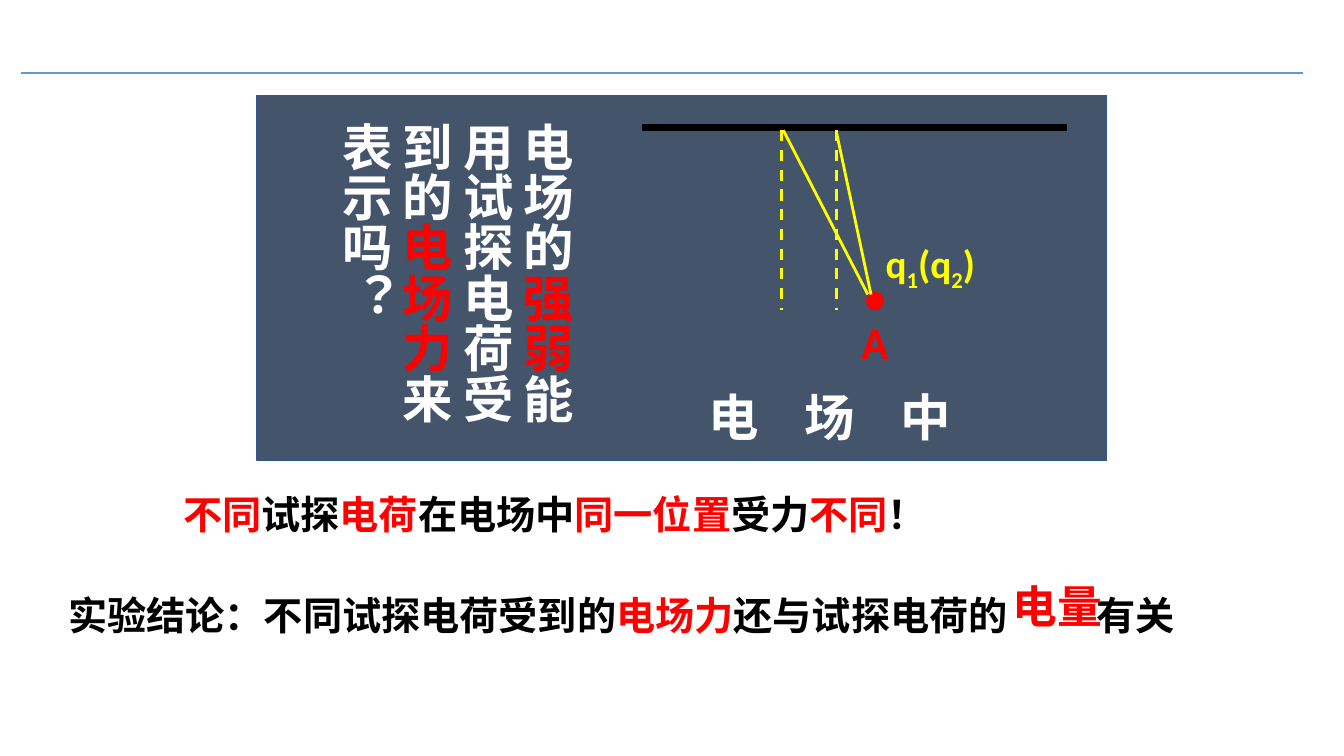
"""Build a slide on how the force on a test charge depends on its quantity."""
from lxml import etree
from pptx import Presentation
from pptx import util as u
from pptx.dml.color import RGBColor
from pptx.enum import dml, shapes, text
from pptx.oxml.ns import qn

WHITE, BLACK, RED, YELLOW = "FFFFFF", "000000", "FF0000", "FFFF00"
LATIN, HAN = "Calibri", "Noto Sans CJK JP"
RECT, OVAL = shapes.MSO_SHAPE.RECTANGLE, shapes.MSO_SHAPE.OVAL

SHAPES = [
    (RECT, (6.48, 2.41, 21.41, 9.19), "44546A", "325491"),
    (OVAL, (21.84, 7.37, 0.43, 0.43), RED, RED),
    (RECT, (16.21, 3.15, 10.67, 0.13), BLACK, BLACK),
]
LINES = [
    ((0.53, 1.85, 32.84, 1.85), "5B9BD5", 1.5, False),
    ((19.69, 3.28, 19.69, 7.8), YELLOW, 2, True),
    ((21.08, 3.28, 21.08, 7.8), YELLOW, 2, True),
    ((21.87, 7.42, 19.74, 3.28), YELLOW, 2, False),
    ((21.95, 7.42, 21.08, 3.33), YELLOW, 2, False),
]
TEXTS = [
    dict(at=(17.6, 9.6, 6.91, 1.8), size=36, font=LATIN, tabs=(2.42, 4.84),
         spans=[("电\t场\t中", WHITE)]),
    dict(at=(8, 2.82, 6.68, 8.59), size=36, font=LATIN, vertical=True,
         spans=[("电场的", WHITE), ("强弱", RED), ("能用试探电荷受到的", WHITE),
                ("电场力", RED), ("来表示吗？", WHITE)]),
    dict(at=(4.37, 12.22, 25.4, 1.45), size=28, font=HAN,
         spans=[("不同", RED), ("试探", BLACK), ("电荷", RED), ("在电场中", BLACK),
                ("同一位置", RED), ("受力", BLACK), ("不同", RED), ("！", BLACK)]),
    dict(at=(1.47, 14.76, 30.15, 1.45), size=28, font=HAN, tabs=(25.91,),
         spans=[("实验结论：不同试探电荷受到的", BLACK), ("电场力", RED),
                ("还与试探电荷的", BLACK), ("\t", BLACK, "underline"), ("有关", BLACK)]),
    dict(at=(25.27, 14.45, 3.35, 1.63), size=32, font=HAN, spans=[("电量", RED)]),
    dict(at=(22.07, 5.99, 3.2, 1.45), size=28, font=LATIN,
         spans=[("q", YELLOW), ("1", YELLOW, "subscript"), ("(q", YELLOW),
                ("2", YELLOW, "subscript"), (")", YELLOW)]),
    dict(at=(21.46, 7.8, 1.6, 1.63), size=32, font=LATIN, spans=[("A", RED)]),
]


def color(value):
    return RGBColor.from_string(value)


def lengths(values):
    return [u.Cm(value) for value in values]


def add_shape(page, kind, at, fill, line):
    shape = page.shapes.add_shape(kind, *lengths(at))
    shape.shadow.inherit = False
    shape.fill.solid()
    shape.fill.fore_color.rgb = color(fill)
    shape.line.color.rgb = color(line)
    shape.line.width = u.Pt(1)


def add_line(page, ends, ink, width, dashed):
    line = page.shapes.add_connector(shapes.MSO_CONNECTOR.STRAIGHT, *lengths(ends))
    line.line.color.rgb = color(ink)
    line.line.width = u.Pt(width)
    if dashed:
        line.line.dash_style = dml.MSO_LINE.DASH
    etree.SubElement(line._element.spPr, qn("a:effectLst"))


def add_text(page, at, size, font, spans, tabs=(), vertical=False):
    frame = page.shapes.add_textbox(*lengths(at)).text_frame
    frame.word_wrap = True
    frame.vertical_anchor = text.MSO_ANCHOR.TOP if vertical else text.MSO_ANCHOR.MIDDLE
    if vertical:
        frame._txBody.bodyPr.set("vert", "eaVert")
    para = frame.paragraphs[0]
    if tabs:
        stops = etree.SubElement(para._p.get_or_add_pPr(), qn("a:tabLst"))
        for stop in tabs:
            etree.SubElement(stops, qn("a:tab"), pos=str(u.Cm(stop)), algn="l")
    for words, ink, *style in spans:
        span = para.add_run()
        span.text = words
        formats = {"name": font, "size": u.Pt(size), "bold": True,
                   "underline": "underline" in style}
        for name, value in formats.items():
            setattr(span.font, name, value)
        span.font.color.rgb = color(ink)
        props = span._r.get_or_add_rPr()
        etree.SubElement(props, qn("a:ea"), typeface=font)
        if "subscript" in style:
            props.set("baseline", "-25000")


def main():
    deck = Presentation()
    deck.slide_width, deck.slide_height = lengths((33.87, 19.05))
    page = deck.slides.add_slide(deck.slide_layouts[6])
    for shape in SHAPES:
        add_shape(page, *shape)
    for line in LINES:
        add_line(page, *line)
    for box in TEXTS:
        add_text(page, **box)
    deck.save("out.pptx")


if __name__ == "__main__":
    main()
